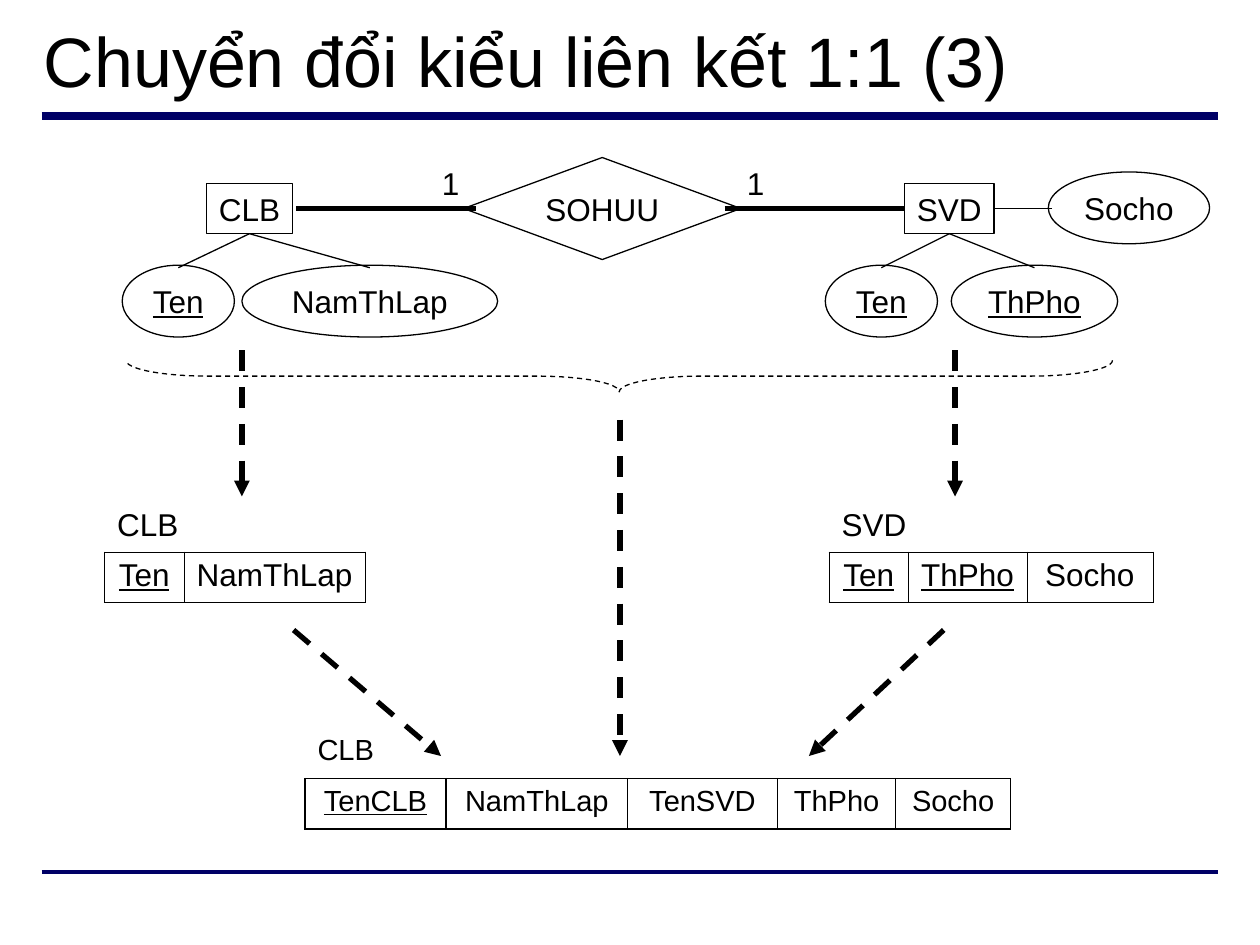
from lxml.etree import SubElement
from pptx import Presentation
from pptx.dml.color import RGBColor
from pptx.enum.dml import MSO_LINE
from pptx.enum.shapes import MSO_CONNECTOR, MSO_SHAPE
from pptx.enum.text import MSO_ANCHOR, PP_ALIGN
from pptx.oxml import parse_xml
from pptx.oxml.ns import nsdecls, qn
from pptx.util import Inches, Pt

COLORS = {"ink": "000000", "rule": "000066", "paper": "FFFFFF"}
WIDE, HIGH = Inches(10), Inches(7.5)
COLS, ROWS = 100, 75
BAND = 4


def across(n):
    return round(WIDE * n / COLS)


def down(n):
    return round(HIGH * n / ROWS)


def place(x, y, w, h):
    return across(x), down(y), across(w), down(h)


def tint(name):
    return RGBColor.from_string(COLORS[name])


def write(frame, text, size=18, align=PP_ALIGN.CENTER, under=False,
          anchor=MSO_ANCHOR.MIDDLE, wrap=False):
    frame.word_wrap = wrap
    frame.vertical_anchor = anchor
    para = frame.paragraphs[0]
    para.alignment = align
    run = para.add_run()
    run.text = text
    run.font.name = "Arial"
    run.font.size = Pt(size)
    run.font.underline = under
    run.font.color.rgb = tint("ink")


def label(slide, box, text, **style):
    write(slide.shapes.add_textbox(*place(*box)).text_frame, text, **style)


def node(slide, kind, box, text="", fill=None, **style):
    shape = slide.shapes.add_shape(kind, *place(*box))
    shape.shadow.inherit = False
    if fill:
        shape.fill.solid()
        shape.fill.fore_color.rgb = tint(fill)
    else:
        shape.fill.background()
    shape.line.color.rgb = tint("ink")
    shape.line.width = Pt(0.75)
    if text:
        write(shape.text_frame, text, **style)
    return shape


def link(slide, start, end, width=0.75, color="ink", arrow=False):
    line = slide.shapes.add_connector(
        MSO_CONNECTOR.STRAIGHT, across(start[0]), down(start[1]),
        across(end[0]), down(end[1]))
    line.line.color.rgb = tint(color)
    line.line.width = Pt(width)
    if arrow:
        line.line.dash_style = MSO_LINE.DASH
        SubElement(line.line._get_or_add_ln(), qn("a:tailEnd"), type="triangle")
    SubElement(line._element.spPr, qn("a:effectLst"))
    return line


def oval(slide, box, text, under=False):
    node(slide, MSO_SHAPE.OVAL, box, text, fill="paper", under=under)


def frame(slide, title):
    label(slide, (2.5, 1.8, 95, 5.8), title, size=40, align=PP_ALIGN.LEFT, wrap=True)
    for row, width in ((9.2, 4.5), (69.2, 2.25)):
        link(slide, (3.3, row), (96.7, row), width, "rule")


def entity(slide, box, name, inset, width, leaves):
    x, y, w, h = box
    rect = node(slide, MSO_SHAPE.RECTANGLE, (x + inset, y, width, BAND), name)
    tall = 5.7
    top = y + h - tall
    for shift, span, text, key in leaves:
        oval(slide, (x + shift, top, span, tall), text, key)
        spoke = link(slide, (x + shift + span / 2, top + 0.2),
                     (x + inset + width / 2, y + BAND))
        spoke.end_connect(rect, 2)
    return rect


def model(slide, box):
    x, y, w, h = box
    mid = y + h / 2
    entity(slide, (x, mid - 2, 29.8, 12.2), "CLB", 6.7, 6.8,
           [(0, 8.9, "Ten", True), (9.5, 20.3, "NamThLap", False)])
    ground = entity(slide, (x + 55.8, mid - 2, 23.2, 12.2), "SVD", 6.3, 7.1,
                    [(0, 8.9, "Ten", True), (10, 13.2, "ThPho", True)])
    node(slide, MSO_SHAPE.DIAMOND, (x + 27.1, y, 22, h), "SOHUU")
    for shift in (24.4, 48.6):
        label(slide, (x + shift, y, 3.4, BAND), "1",
              align=PP_ALIGN.LEFT, anchor=MSO_ANCHOR.TOP)
    link(slide, (x + 13.8, mid), (x + 28.1, mid), 3)
    link(slide, (x + 47.8, mid), (x + 62.1, mid), 3).end_connect(ground, 1)
    oval(slide, (x + 73.5, mid - 2.9, 12.8, 5.7), "Socho")
    link(slide, (x + 73.8, mid), (x + 69.2, mid)).end_connect(ground, 3)


def border(cell, sides, width):
    props = cell._tc.get_or_add_tcPr()
    for spot, side in enumerate("LRTB"):
        paint = "<a:noFill/>"
        if side in sides:
            paint = f'<a:solidFill><a:srgbClr val="{COLORS["ink"]}"/></a:solidFill>'
        props.insert(spot, parse_xml(
            f'<a:ln{side} {nsdecls("a")} w="{Pt(width)}">{paint}</a:ln{side}>'))


def relation(slide, spot, name, fields, size=18, width=0.45):
    spans = [span for span, text, key in fields]
    table = slide.shapes.add_table(
        2, len(fields), *place(*spot, sum(spans), 2 * BAND)).table
    table.first_row = table.horz_banding = False
    for row in table.rows:
        row.height = down(BAND)
    for col, (span, text, key) in enumerate(fields):
        table.columns[col].width = across(span)
        for row, sides in enumerate(("B", "LRTB")):
            cell = table.cell(row, col)
            cell.fill.background()
            border(cell, sides, width)
        write(cell.text_frame, text, size=size, under=key,
              anchor=MSO_ANCHOR.TOP, wrap=True)
    head = table.cell(0, 0)
    head.merge(table.cell(0, len(fields) - 1))
    write(head.text_frame, name, size=size, align=PP_ALIGN.LEFT,
          anchor=MSO_ANCHOR.TOP, wrap=True)


def brace(slide, box):
    x, y, w, h = box
    shape = node(slide, MSO_SHAPE.LEFT_BRACE,
                 (x + (w - h) / 2, y + (h - w) / 2, h, w))
    shape.rotation = 270
    shape.adjustments[0] = 2.6
    shape.line.dash_style = MSO_LINE.DASH


def flow(slide, box):
    x, y, w, h = box
    fork, base = y + 22.2, y + h
    brace(slide, (x - 9.2, y + 0.8, 78.3, 2.5))
    for start, end in (((x, y), (x, y + 11.6)),
                       ((x + w, y), (x + w, y + 11.6)),
                       ((x + 4.1, fork), (x + 15.8, base)),
                       ((x + w - 0.9, fork), (x + 45, base)),
                       ((x + 30, y + 5.5), (x + 30, base))):
        link(slide, start, end, 3, arrow=True)


def main():
    deck = Presentation()
    deck.slide_width, deck.slide_height = WIDE, HIGH
    slide = deck.slides.add_slide(deck.slide_layouts[6])
    frame(slide, "Chuyển đổi kiểu liên kết 1:1 (3)")
    model(slide, (9.7, 12.5, 86.3, 8.1))
    relation(slide, (8.3, 39.8), "CLB",
             [(6.3, "Ten", True), (14.4, "NamThLap", False)])
    relation(slide, (65.8, 39.8), "SVD",
             [(6.3, "Ten", True), (9.4, "ThPho", True), (10, "Socho", False)])
    relation(slide, (24.2, 57.8), "CLB",
             [(11.2, "TenCLB", True), (14.4, "NamThLap", False),
              (11.9, "TenSVD", False), (9.4, "ThPho", False),
              (9.1, "Socho", False)], size=16.6, width=1)
    flow(slide, (19.2, 27.8, 56.6, 32.2))
    deck.save("out.pptx")


if __name__ == "__main__":
    main()
